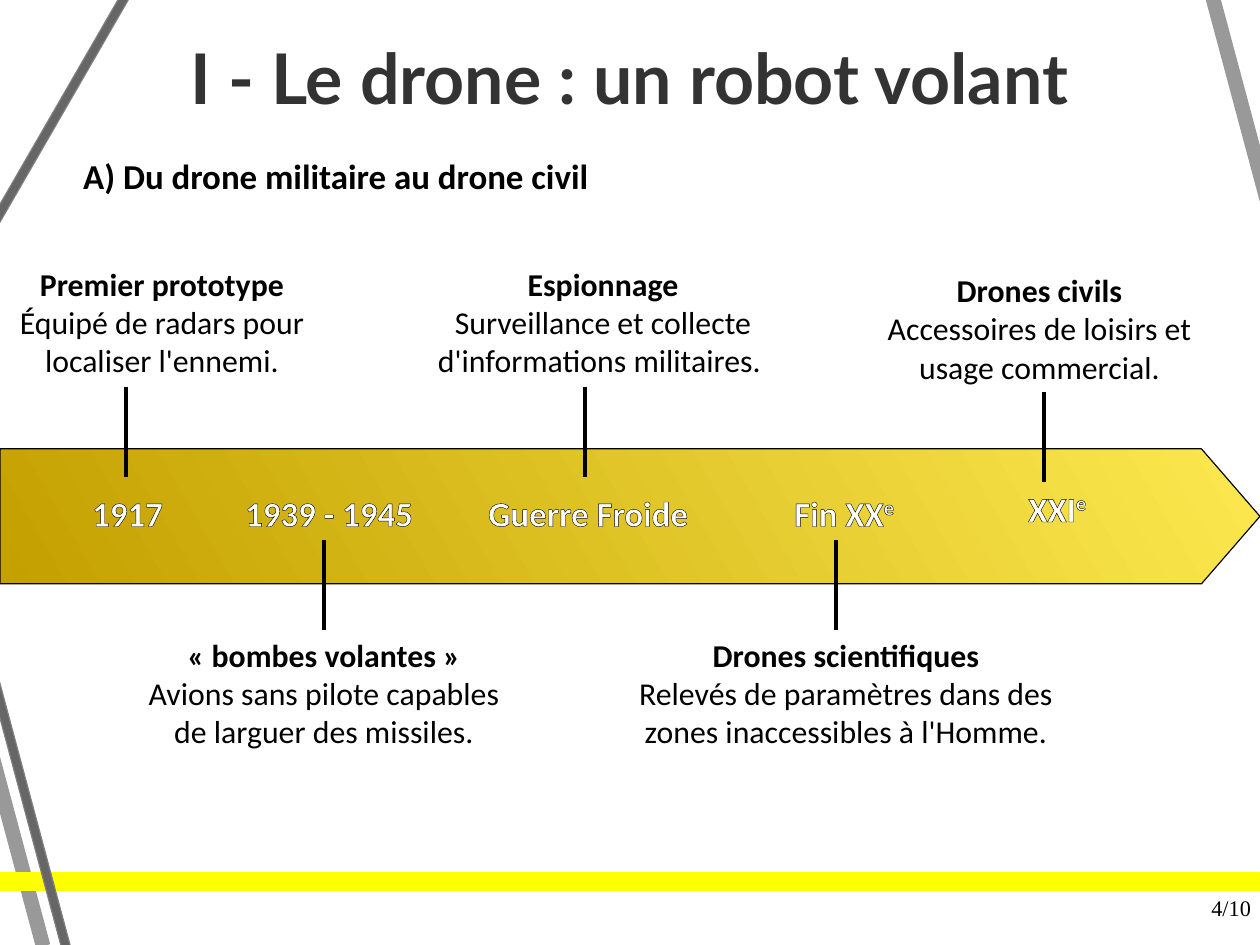
from dataclasses import dataclass

from lxml import etree
from pptx import Presentation
from pptx import util as u
from pptx.dml.color import RGBColor
from pptx.enum import shapes, text
from pptx.oxml.ns import qn

PX = 9000
SLIDE_W, SLIDE_H = 1120, 840

BLACK = RGBColor(0x00, 0x00, 0x00)
WHITE = RGBColor(0xFF, 0xFF, 0xFF)
CHARCOAL = RGBColor(0x33, 0x33, 0x33)
DARK_GREY = RGBColor(0x66, 0x66, 0x66)
MID_GREY = RGBColor(0x80, 0x80, 0x80)
LIGHT_GREY = RGBColor(0x99, 0x99, 0x99)
YELLOW = RGBColor(0xFF, 0xFF, 0x00)
PALE_GOLD = RGBColor(0xFC, 0xE9, 0x4F)
DEEP_GOLD = RGBColor(0xC4, 0xA0, 0x00)

LEFT = text.PP_ALIGN.LEFT
CENTER = text.PP_ALIGN.CENTER
RIGHT = text.PP_ALIGN.RIGHT


@dataclass(frozen=True)
class Box:
    x: int
    y: int
    w: int
    h: int


@dataclass(frozen=True)
class Bar:
    box: Box
    angle: int
    fill: RGBColor
    line: RGBColor


@dataclass(frozen=True)
class Style:
    size: int
    font: str = "Calibri"
    color: RGBColor = BLACK
    bold: bool = False
    align: text.PP_ALIGN = LEFT
    outlined: bool = False


@dataclass(frozen=True)
class Event:
    date: str
    suffix: str
    date_box: Box
    heading: str
    detail: str
    label_box: Box
    stem_x: int
    stem_top: int
    below: bool = False


BARS = [
    Bar(Box(-128, 707, 264, 12), 75, LIGHT_GREY, LIGHT_GREY),
    Bar(Box(0, 776, SLIDE_W, 16), 0, YELLOW, YELLOW),
    Bar(Box(-106, 716, 264, 8), 75, DARK_GREY, MID_GREY),
    Bar(Box(-81, 97, 264, 8), 120, DARK_GREY, MID_GREY),
    Bar(Box(972, 89, 264, 12), 75, LIGHT_GREY, LIGHT_GREY),
]

ARROW = [(0, 399), (1068, 399), (SLIDE_W, 459), (1068, 519), (0, 519)]
STEM_LENGTH = 80

TITLE = Style(44, "Lato", CHARCOAL, True, CENTER)
SUBTITLE = Style(22, bold=True)
PAGE = Style(14, "Times New Roman", align=RIGHT)
DATE = Style(22, color=WHITE, bold=True, outlined=True)
HEADING = Style(20, bold=True, align=CENTER)
DETAIL = Style(20, align=CENTER)

EVENTS = [
    Event("1917", "", Box(72, 432, 88, 51), "Premier prototype",
          "Équipé de radars pour localiser l'ennemi.",
          Box(0, 230, 288, 114), 112, 344),
    Event("1939 - 1945", "", Box(208, 432, 176, 48), "« bombes volantes »",
          "Avions sans pilote capables de larguer des missiles.",
          Box(120, 560, 336, 183), 288, 480, True),
    Event("Guerre Froide", "", Box(424, 432, 208, 48), "Espionnage",
          "Surveillance et collecte d'informations militaires. ",
          Box(376, 230, 320, 114), 520, 344),
    Event("Fin XX", "e", Box(696, 432, 112, 49), "Drones scientifiques",
          "Relevés de paramètres dans des zones inaccessibles à l'Homme.",
          Box(552, 560, 400, 148), 743, 480, True),
    Event("XXI", "e", Box(904, 428, 74, 49), "Drones civils",
          "Accessoires de loisirs et usage commercial.",
          Box(752, 236, 344, 114), 928, 348),
]


def emu(box: Box) -> tuple[int, int, int, int]:
    return box.x * PX, box.y * PX, box.w * PX, box.h * PX


def add_bar(s, bar: Bar) -> None:
    sp = s.shapes.add_shape(shapes.MSO_SHAPE.RECTANGLE, *emu(bar.box))
    sp.shadow.inherit = False
    sp.rotation = bar.angle
    sp.fill.solid()
    sp.fill.fore_color.rgb = bar.fill
    sp.line.color.rgb = bar.line
    sp.line.width = u.Pt(0)


def add_arrow(s) -> None:
    builder = s.shapes.build_freeform(*ARROW[0], scale=float(PX))
    builder.add_line_segments(ARROW[1:], close=True)
    sp = builder.convert_to_shape()
    sp.shadow.inherit = False
    sp.fill.gradient()
    sp.fill.gradient_angle = 210
    for stop, color in zip(sp.fill.gradient_stops, (PALE_GOLD, DEEP_GOLD)):
        stop.color.rgb = color
    sp.line.color.rgb = BLACK
    sp.line.width = u.Pt(0)


def add_run(p, words: str, style: Style, raised: bool = False) -> None:
    r = p.add_run()
    r.text = words
    r.font.size = u.Pt(style.size)
    r.font.name = style.font
    r.font.bold = style.bold
    r.font.color.rgb = style.color
    props = r.font._element
    if raised:
        props.set("baseline", "33000")
    if style.outlined:
        ln = etree.Element(qn("a:ln"), w=str(u.Pt(0.75)))
        fill = etree.SubElement(ln, qn("a:solidFill"))
        etree.SubElement(fill, qn("a:srgbClr"), val=str(BLACK))
        props.insert(0, ln)


def add_text(s, box: Box, lines: list[tuple[str, Style]],
             suffix: str = "", inset: bool = True,
             anchor: text.MSO_ANCHOR = text.MSO_ANCHOR.TOP):
    sp = s.shapes.add_textbox(*emu(box))
    tf = sp.text_frame
    tf.word_wrap = True
    tf.vertical_anchor = anchor
    tf.margin_left = tf.margin_right = 10 * PX if inset else 0
    tf.margin_top = tf.margin_bottom = 5 * PX if inset else 0
    for i, (words, style) in enumerate(lines):
        p = tf.add_paragraph() if i else tf.paragraphs[0]
        p.alignment = style.align
        add_run(p, words, style)
        if suffix:
            add_run(p, suffix, style, raised=True)
    return sp


def add_event(s, event: Event) -> None:
    add_text(s, event.date_box, [(event.date, DATE)], event.suffix)
    label = add_text(s, event.label_box,
                     [(event.heading, HEADING), (event.detail, DETAIL)])
    x, top = event.stem_x * PX, event.stem_top * PX
    stem = s.shapes.add_connector(shapes.MSO_CONNECTOR.STRAIGHT,
                                  x, top, x, top + STEM_LENGTH * PX)
    stem.line.color.rgb = BLACK
    stem.line.width = u.Pt(2.83)
    etree.SubElement(stem._element.spPr, qn("a:effectLst"))
    if event.below and label.left + label.width // 2 == x:
        stem.end_connect(label, 0)


def main() -> None:
    prs = Presentation()
    prs.slide_width, prs.slide_height = SLIDE_W * PX, SLIDE_H * PX
    s = prs.slides.add_slide(prs.slide_layouts[6])
    for bar in BARS:
        add_bar(s, bar)
    add_text(s, Box(928, 795, 184, 22), [("4/10", PAGE)], inset=False)
    add_arrow(s)
    add_text(s, Box(56, -2, 1008, 140),
             [("I - Le drone : un robot volant", TITLE)],
             inset=False, anchor=text.MSO_ANCHOR.MIDDLE)
    add_text(s, Box(64, 132, 608, 48),
             [("A) Du drone militaire au drone civil", SUBTITLE)])
    for event in EVENTS:
        add_event(s, event)
    prs.save("out.pptx")


if __name__ == "__main__":
    main()
